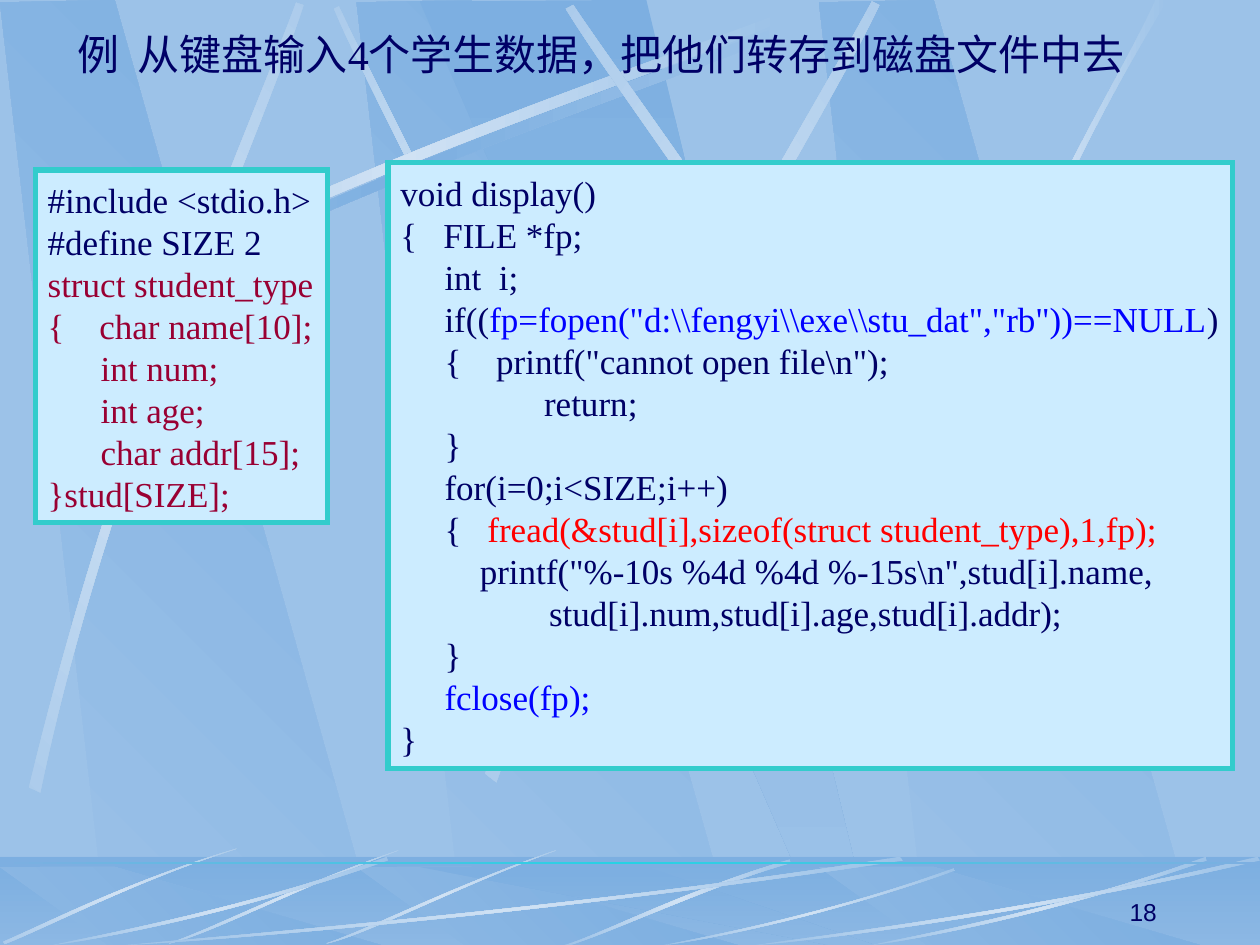
import math
from dataclasses import dataclass

from lxml import etree
from pptx import Presentation
from pptx import util as u
from pptx.dml.color import RGBColor
from pptx.enum import shapes, text
from pptx.oxml import ns


@dataclass(frozen=True)
class Theme:
    """Colours, fonts and type sizes of the slide."""
    sky: str = "9CC2E8"
    deep: str = "7DAFE1"
    glow: str = "D0E2F4"
    aqua: str = "26D2E4"
    frame: str = "33CCCC"
    paper: str = "CCECFF"
    ink: str = "000066"
    wine: str = "990033"
    blue: str = "0000FF"
    red: str = "FF0000"
    serif: str = "Times New Roman"
    sans: str = "Arial"
    title_size: int = 24
    code_size: int = 20
    code_leading: int = 24
    number_size: int = 14


T = Theme()
WIDTH, HEIGHT = 10, 7.5
SHEEN = (T.sky, T.glow, T.sky)

PANEL = [(0.86, 7.5), (3.02, 7.52), (0.91, 0), (0, 0.02)]
PANEL_LEFTS = (2.83, 0, 6.5)
WEDGE = [(3.33, 0.01), (6.58, 7.51), (6.94, 7.51), (5.13, 0)]

# A ribbon is two cubic curves of four points: one edge out, the other back.
BEAM = [(0.14, 2.67), (2.78, 1.25), (5.18, 0.51), (6.2, 0.1),
        (6.23, 0.16), (5.22, 0.61), (2.48, 1.43), (0.17, 2.77)]
SKY_RIBBONS = [
    (45, [(4.6, 4.36), (3.91, 2.34), (3.02, 0.77), (2.69, 0.05),
          (2.65, 0.07), (2.95, 0.79), (3.98, 2.58), (4.54, 4.39)]),
    (0, BEAM),
    (311.7, [(0.23, 6.25), (0.93, 3.34), (1.97, 1.05), (2.35, 0.02),
             (2.41, 0.04), (2.07, 1.09), (0.86, 3.68), (0.32, 6.29)]),
    (321.6, [(3.85, 6.14), (4.98, 3.2), (6.38, 1.02), (6.92, 0.01),
             (6.98, 0.04), (6.49, 1.08), (4.86, 3.55), (3.94, 6.21)]),
    (34.7, [(8.06, 5.6), (6.7, 2.93), (5.16, 0.95), (4.55, 0.04),
            (4.49, 0.07), (5.07, 1.01), (6.85, 3.25), (7.99, 5.67)]),
    (0, [(7.38, 3.94), (8.14, 1.73), (8.88, 0.66), (9.17, 0),
         (9.27, 0), (8.36, 1.45), (7.69, 3.22), (7.44, 3.97)]),
]
# Each floor ribbon: its turn, the (dx, dy) moves at which it appears, its points.
FLOOR_RIBBONS = [
    (0, [(0, 0)], [(6.27, 6.82), (5.37, 7.09), (4.77, 7.42), (4.48, 7.54),
                   (4.53, 7.55), (4.9, 7.38), (5.71, 7), (6.28, 6.85)]),
    (315, [(0, 0), (-1.25, 0), (-2.55, -0.05)],
     [(4.42, 6.8), (3.55, 7.05), (2.87, 7.4), (2.56, 7.53),
      (2.57, 7.55), (2.88, 7.43), (3.65, 7.03), (4.44, 6.83)]),
    (0, [(0, 0)], [(7.17, 6.83), (4.49, 7.23), (2.06, 7.44), (1.03, 7.55),
                   (1, 7.54), (2.02, 7.41), (4.8, 7.18), (7.14, 6.8)]),
    (0, [(0, 0), (6.5, 0)],
     [(3.08, 6.83), (1.93, 7.23), (0.88, 7.44), (0.43, 7.55),
      (0.42, 7.54), (0.86, 7.41), (2.06, 7.18), (3.07, 6.8)]),
    (0, [(0, 0)], [(7.58, 6.91), (6.58, 7.26), (5.67, 7.45), (5.28, 7.55),
                   (5.27, 7.54), (5.65, 7.43), (6.69, 7.22), (7.57, 6.89)]),
    (0, [(0, 0)], [(10, 6.83), (8.27, 7.23), (6.69, 7.44), (6.02, 7.55),
                   (6, 7.54), (6.66, 7.41), (8.46, 7.18), (9.98, 6.8)]),
]

# A code line: start of the line, stop after its tab, then (text, colour) runs.
STRUCT_CODE = [
    (0, 0, [("#include <stdio.h>", T.ink)]),
    (0, 0, [("#define SIZE 2", T.ink)]),
    (0, 0, [("struct student_type", T.wine)]),
    (0, 0.41, [("{\tchar name[10];", T.wine)]),
    (0.42, 0.42, [("int num;", T.wine)]),
    (0.42, 0.42, [("int age;", T.wine)]),
    (0.42, 0.42, [("char addr[15];", T.wine)]),
    (0, 0, [("}stud[SIZE];", T.wine)]),
]
DISPLAY_CODE = [
    (0, 0, [("void display()", T.ink)]),
    (0, 0.34, [("{\tFILE *fp;", T.ink)]),
    (0.35, 0.35, [("int  i;", T.ink)]),
    (0.35, 0.35, [("if((", T.ink),
                  (r'fp=fopen("d:\\fengyi\\exe\\stu_dat","rb"))==NULL', T.blue),
                  (")", T.ink)]),
    (0.35, 0.76, [("{\t" + r'printf("cannot open file\n");', T.ink)]),
    (1.14, 1.14, [("return;", T.ink)]),
    (0.35, 0.35, [("}", T.ink)]),
    (0.35, 0.35, [("for(i=0;i<SIZE;i++)", T.ink)]),
    (0.35, 0.69, [("{\t", T.ink),
                  ("fread(&stud[i],sizeof(struct student_type),1,fp);", T.red)]),
    (0.63, 0.63, [(r'printf("%-10s %4d %4d %-15s\n",stud[i].name,', T.ink)]),
    (1.18, 1.18, [("stud[i].num,stud[i].age,stud[i].addr);", T.ink)]),
    (0.35, 0.35, [("}", T.ink)]),
    (0.35, 0.35, [("fclose(fp);", T.blue)]),
    (0, 0, [("}", T.ink)]),
]


def paint(sp, colors, angle=0, alpha=None):
    """Fill a shape with one colour, or an even gradient turned clockwise."""
    sp.shadow.inherit = False
    sp.line.fill.background()
    if len(colors) == 1:
        sp.fill.solid()
        sp.fill.fore_color.rgb = RGBColor.from_string(colors[0])
        if alpha is not None:
            clr = sp._element.spPr.find(".//" + ns.qn("a:srgbClr"))
            etree.SubElement(clr, ns.qn("a:alpha"), val=str(alpha * 1000))
        return
    sp.fill.gradient()
    sp.fill.gradient_angle = (360 - angle) % 360
    stops = sp._element.spPr.find(".//" + ns.qn("a:gsLst"))
    for old in list(stops):
        stops.remove(old)
    for i, color in enumerate(colors):
        pos = str(100000 * i // (len(colors) - 1))
        gs = etree.SubElement(stops, ns.qn("a:gs"), pos=pos)
        etree.SubElement(gs, ns.qn("a:srgbClr"), val=color)


def add_rect(s, x, y, w, h, colors, **look):
    """Add a borderless rectangle."""
    sp = s.shapes.add_shape(shapes.MSO_SHAPE.RECTANGLE, *map(u.Inches, (x, y, w, h)))
    paint(sp, colors, **look)
    return sp


def add_polygon(s, points, colors, angle=0):
    """Add a closed outline."""
    pts = [(u.Inches(x), u.Inches(min(y, HEIGHT))) for x, y in points]
    builder = s.shapes.build_freeform(*pts[0], scale=1.0)
    builder.add_line_segments(pts[1:], close=True)
    sp = builder.convert_to_shape()
    paint(sp, colors, angle)
    return sp


def rotate(point, degrees):
    """Turn a point clockwise about the slide's corner."""
    (x, y), a = point, math.radians(degrees)
    return x * math.cos(a) - y * math.sin(a), x * math.sin(a) + y * math.cos(a)


def unturn(points, turn):
    """Return the points as they lie before a shape is turned about its centre."""
    flat = [rotate(p, -turn) for p in points]
    mid = [(min(axis) + max(axis)) / 2 for axis in zip(*flat)]
    dx, dy = (b - a for a, b in zip(mid, rotate(mid, turn)))
    return [(x + dx, y + dy) for x, y in flat]


def add_ribbon(s, points, colors=SHEEN, turn=0, move=(0, 0)):
    """Add a thin band with two curved edges."""
    moved = [(x + move[0], min(y + move[1], HEIGHT)) for x, y in points]
    sp = add_polygon(s, unturn(moved, turn) if turn else moved, colors)
    sp.rotation = turn
    lines = sp._element.spPr.findall(".//" + ns.qn("a:lnTo"))
    for group in (lines[:3], lines[4:7]):
        bend = etree.Element(ns.qn("a:cubicBezTo"))
        group[0].addprevious(bend)
        for line in group:
            bend.append(line[0])
            line.getparent().remove(line)


def add_panes(s, top=0, scale=1):
    """Add the slanted panels and the wedge, squeezed to a height."""
    def fit(points, dx=0):
        return [(x + dx, top + y * scale) for x, y in points]
    for left in PANEL_LEFTS:
        add_polygon(s, fit(PANEL, left), (T.sky, T.deep), 315)
    add_polygon(s, fit(WEDGE), (T.deep, T.sky), 90)


def add_backdrop(s):
    """Draw the sky, the floor and the bright horizon."""
    s.background.fill.solid()
    s.background.fill.fore_color.rgb = RGBColor.from_string(T.sky)
    add_panes(s)
    add_ribbon(s, BEAM, (T.sky, T.deep, T.sky), move=(0.06, 0.08))
    for turn, points in SKY_RIBBONS:
        add_ribbon(s, points, turn=turn)
    add_rect(s, 0, 6.8, WIDTH, 0.7, (T.deep, T.sky), angle=90)
    add_panes(s, 6.88, 0.09)
    add_rect(s, 0, 6.8, WIDTH, 0.7, (T.deep,), alpha=50)
    for turn, moves, points in FLOOR_RIBBONS:
        for move in moves:
            add_ribbon(s, points, turn=turn, move=move)
    add_rect(s, 0, 6.84, WIDTH, 0.02, (T.deep, T.aqua, T.deep))


def add_run(p, words, *, size, font=T.serif, color=T.ink):
    """Add formatted text to a paragraph."""
    r = p.add_run()
    r.text = words
    r.font.size, r.font.name = u.Pt(size), font
    r.font.color.rgb = RGBColor.from_string(color)


def add_label(s, x, y, w, h, words, align, anchor, **style):
    """Add a one-paragraph text box."""
    tf = s.shapes.add_textbox(*map(u.Inches, (x, y, w, h))).text_frame
    tf.word_wrap, tf.vertical_anchor = True, anchor
    tf.paragraphs[0].alignment = align
    add_run(tf.paragraphs[0], words, **style)


def add_code(s, x, y, w, h, lines):
    """Add a framed listing with indented lines."""
    sp = add_rect(s, x, y, w, h, (T.paper,))
    sp.line.color.rgb = RGBColor.from_string(T.frame)
    sp.line.width = u.Pt(3)
    etree.SubElement(sp.line._get_or_add_ln(), ns.qn("a:miter"), lim="800000")
    tf = sp.text_frame
    tf.word_wrap, tf.vertical_anchor = True, text.MSO_ANCHOR.MIDDLE
    tf.margin_right = 0
    for i, (start, stop, runs) in enumerate(lines):
        p = tf.add_paragraph() if i else tf.paragraphs[0]
        p.alignment, p.line_spacing = text.PP_ALIGN.LEFT, u.Pt(T.code_leading)
        pPr = p._p.get_or_add_pPr()
        pPr.set("marL", str(u.Inches(stop)))
        pPr.set("indent", str(u.Inches(start - stop)))
        for words, color in runs:
            add_run(p, words, size=T.code_size, color=color)


def main():
    """Build the slide and save it."""
    prs = Presentation()
    prs.slide_width, prs.slide_height = u.Inches(WIDTH), u.Inches(HEIGHT)
    s = prs.slides.add_slide(prs.slide_layouts[6])
    add_backdrop(s)
    add_code(s, 0.28, 1.35, 2.32, 2.8, STRUCT_CODE)
    add_code(s, 3.08, 1.29, 6.7, 4.81, DISPLAY_CODE)
    add_label(s, 0.1, -0.02, 9.34, 0.9, "例  从键盘输入4个学生数据，把他们转存到磁盘文件中去",
              text.PP_ALIGN.CENTER, text.MSO_ANCHOR.MIDDLE, size=T.title_size)
    add_label(s, 7.2, 6.9, 2.08, 0.5, "18", text.PP_ALIGN.RIGHT,
              text.MSO_ANCHOR.BOTTOM, size=T.number_size, font=T.sans)
    prs.save("out.pptx")


main()
